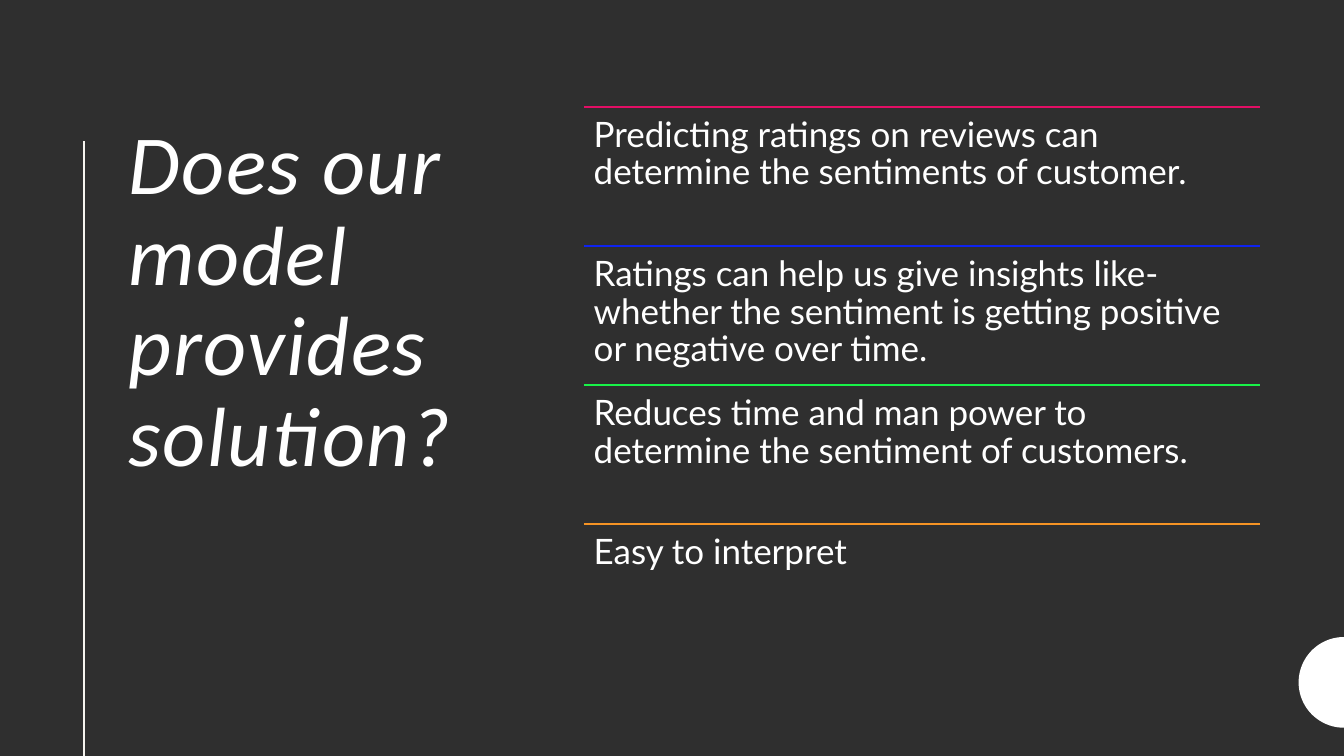
import math

import pptx
import pptx.dml.color
import pptx.enum.shapes
import pptx.enum.text
import pptx.oxml.ns
import pptx.util
from lxml import etree

COLORS = {
    "background": "2F2F2F",
    "text": "FFFFFF",
    "rule": "F6F4EF",
    "pink": "E20E65",
    "blue": "0E23F0",
    "green": "18F348",
    "orange": "F59324",
}
POINTS = [
    ("pink", "Predicting ratings on reviews can determine the sentiments of customer."),
    ("blue", "Ratings can help us give insights like- whether the sentiment "
             "is getting positive or negative over time."),
    ("green", "Reduces time and man power to determine the sentiment of customers."),
    ("orange", "Easy to interpret"),
]

inch = pptx.util.Inches
rgb = pptx.dml.color.RGBColor.from_string

deck = pptx.Presentation()
deck.slide_width, deck.slide_height = inch(13.33), inch(7.5)
slide = deck.slides.add_slide(deck.slide_layouts[6])
slide.background.fill.solid()
slide.background.fill.fore_color.rgb = rgb(COLORS["background"])


def add_text(text, left, top, width, height, font, size, inset=(0.1, 0.05),
             italic=False, spacing=0, after=0):
    """Add wrapped, top-anchored white text; spacing is in points."""
    box = slide.shapes.add_textbox(inch(left), inch(top), inch(width), inch(height))
    frame = box.text_frame
    frame.word_wrap = True
    frame.vertical_anchor = pptx.enum.text.MSO_ANCHOR.TOP
    frame.margin_left = frame.margin_right = inch(inset[0])
    frame.margin_top = frame.margin_bottom = inch(inset[1])
    paragraph = frame.paragraphs[0]
    paragraph.line_spacing = 0.9
    paragraph.space_after = pptx.util.Pt(after)
    run = paragraph.add_run()
    run.text = text
    run.font.name = font
    run.font.size = pptx.util.Pt(size)
    run.font.italic = italic
    run.font.color.rgb = rgb(COLORS["text"])
    if spacing:
        run.font._element.set("spc", str(spacing * 100))


def add_rule(start, end, color, weight):
    """Draw a straight line without shadow between two points in inches."""
    rule = slide.shapes.add_connector(
        pptx.enum.shapes.MSO_CONNECTOR.STRAIGHT, *map(inch, start + end))
    rule.line.color.rgb = rgb(COLORS[color])
    rule.line.width = pptx.util.Pt(weight)
    etree.SubElement(rule._element.spPr, pptx.oxml.ns.qn("a:effectLst"))


# Title beside its vertical rule
add_text("Does our model provides solution?", 1.18, 1.16, 3.91, 5.26,
         "Calibri", 60, italic=True, spacing=1)
add_rule((0.83, 1.4), (0.83, 7.5), "rule", 1.5)

# Half disc on the right edge
RADIUS, CENTER_X, CENTER_Y, STEPS = 0.45, 13.33, 6.77, 48
arc = [(inch(CENTER_X - RADIUS * math.sin(math.pi * step / STEPS)),
        inch(CENTER_Y - RADIUS * math.cos(math.pi * step / STEPS)))
       for step in range(STEPS + 1)]
outline = slide.shapes.build_freeform(*arc[0])
outline.add_line_segments(arc[1:], close=True)
half_disc = outline.convert_to_shape()
half_disc.shadow.inherit = False
half_disc.fill.solid()
half_disc.fill.fore_color.rgb = rgb(COLORS["text"])
half_disc.line.fill.background()

# Four equal rows, each under a coloured rule
LEFT, TOP, WIDTH, ROW = 5.79, 1.06, 6.71, 1.38
for row, (color, text) in enumerate(POINTS):
    y = TOP + row * ROW
    add_rule((LEFT, y), (LEFT + WIDTH, y), color, 1)
    add_text(text, LEFT, y, WIDTH, ROW, "Lato", 25, inset=(0.1, 0.1), after=9)

deck.save("out.pptx")
